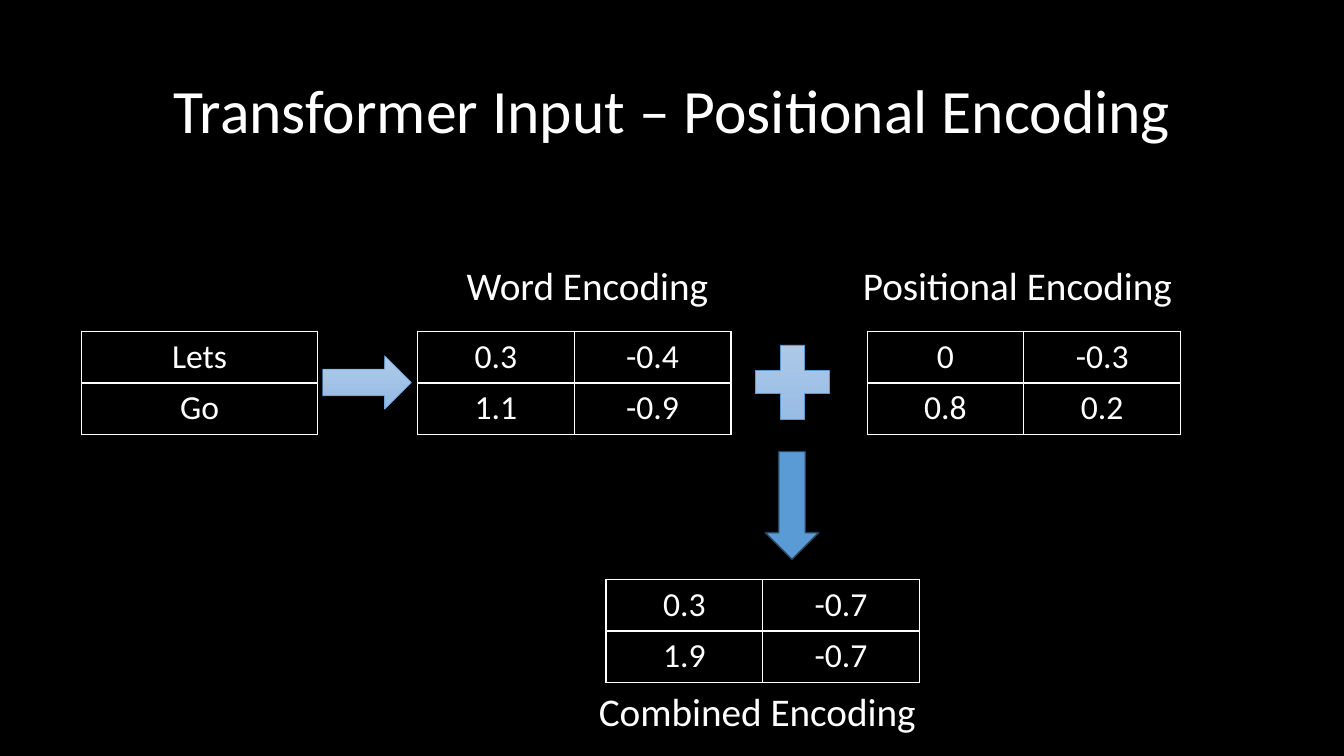
from lxml import etree
from pptx import Presentation
from pptx.dml.color import RGBColor
from pptx.enum.shapes import MSO_SHAPE
from pptx.enum.text import MSO_ANCHOR, MSO_AUTO_SIZE, PP_ALIGN
from pptx.oxml.ns import qn
from pptx.util import Inches, Pt

CENTER = PP_ALIGN.CENTER
MIDDLE = MSO_ANCHOR.MIDDLE
GROW = MSO_AUTO_SIZE.SHAPE_TO_FIT_TEXT
RIGHT = MSO_SHAPE.RIGHT_ARROW
DOWN = MSO_SHAPE.DOWN_ARROW
PLUS = MSO_SHAPE.MATH_PLUS

FONT = "Calibri"
WHITE, BLACK, BLUE, NAVY = "FFFFFF", "000000", "5B9BD5", "28445D"
PALE = ("B1CBE9", "93B9E4")
ROW = 0.51
TOP = 3.29


def color(code):
    return RGBColor.from_string(code)


def style(para, size):
    para.font.name = FONT
    para.font.size = Pt(size)
    para.font.color.rgb = color(WHITE)


def add_text(slide, box, text, size):
    shape = slide.shapes.add_textbox(*map(Inches, box))
    frame = shape.text_frame
    frame.text = text
    style(frame.paragraphs[0], size)
    return frame


def add_title(slide, box, text):
    frame = add_text(slide, box, text, 44)
    frame.word_wrap = True
    frame.vertical_anchor = MIDDLE
    frame.paragraphs[0].alignment = CENTER
    frame.paragraphs[0].line_spacing = 0.9


def add_label(slide, box, text):
    frame = add_text(slide, box, text, 28)
    frame.word_wrap = False
    frame.auto_size = GROW


def add_border(cell):
    props = cell._tc.get_or_add_tcPr()
    for side in ("a:lnL", "a:lnR", "a:lnT", "a:lnB"):
        line = etree.SubElement(props, qn(side), w=str(Pt(1)))
        fill = etree.SubElement(line, qn("a:solidFill"))
        etree.SubElement(fill, qn("a:srgbClr"), val=WHITE)


def add_grid(slide, left, top, width, inset, rows):
    """Place an outlined table whose equal columns fill the width."""
    count = len(rows[0])
    table = slide.shapes.add_table(
        len(rows), count, Inches(left), Inches(top),
        Inches(width), Inches(ROW * len(rows))).table
    table.first_row = table.horz_banding = False
    for col in table.columns:
        col.width = Inches(width / count)
    for r, row in enumerate(rows):
        table.rows[r].height = Inches(ROW)
        for c, text in enumerate(row):
            cell = table.cell(r, c)
            cell.text = text
            cell.margin_left = cell.margin_right = Inches(inset)
            add_border(cell)
            cell.fill.background()
            para = cell.text_frame.paragraphs[0]
            para.alignment = CENTER
            style(para, 24)


def add_sign(slide, kind, box, line, width):
    shape = slide.shapes.add_shape(kind, *map(Inches, box))
    shape.shadow.inherit = False
    shape.line.color.rgb = color(line)
    shape.line.width = Pt(width)
    return shape.fill


def add_pale(slide, kind, box):
    """Place a sign shaded from the top down."""
    fill = add_sign(slide, kind, box, BLUE, 0.5)
    fill.gradient()
    fill.gradient_angle = 270
    for stop, code in zip(fill.gradient_stops, PALE):
        stop.color.rgb = color(code)
    for stop, place in zip(fill.gradient_stops, (0, 1)):
        stop.position = place


def add_down(slide, box):
    fill = add_sign(slide, DOWN, box, NAVY, 1)
    fill.solid()
    fill.fore_color.rgb = color(BLUE)


def main():
    deck = Presentation()
    deck.slide_width, deck.slide_height = Inches(13.33), Inches(7.5)
    slide = deck.slides.add_slide(deck.slide_layouts[6])
    back = slide.background.fill
    back.solid()
    back.fore_color.rgb = color(BLACK)

    add_title(slide, (0.92, 0.4, 11.5, 1.45),
              "Transformer Input – Positional Encoding")

    add_grid(slide, 0.81, TOP, 2.34, 0.38, [["Lets"], ["Go"]])
    for left, top, rows in (
            (4.14, TOP, [["0.3", "-0.4"], ["1.1", "-0.9"]]),
            (8.6, TOP, [["0", "-0.3"], ["0.8", "0.2"]]),
            (6.01, 5.75, [["0.3", "-0.7"], ["1.9", "-0.7"]])):
        add_grid(slide, left, top, 3.11, 0.51, rows)

    for left, top, width, text in (
            (4.53, 2.54, 2.62, "Word Encoding"),
            (8.46, 2.54, 3.3, "Positional Encoding"),
            (5.84, 6.77, 3.38, "Combined Encoding")):
        add_label(slide, (left, top, width, 0.57), text)

    add_pale(slide, RIGHT, (3.2, 3.53, 0.88, 0.53))
    add_pale(slide, PLUS, (7.36, TOP, 1, 1))
    add_down(slide, (7.59, 4.48, 0.53, 1.07))
    deck.save("out.pptx")


if __name__ == "__main__":
    main()
